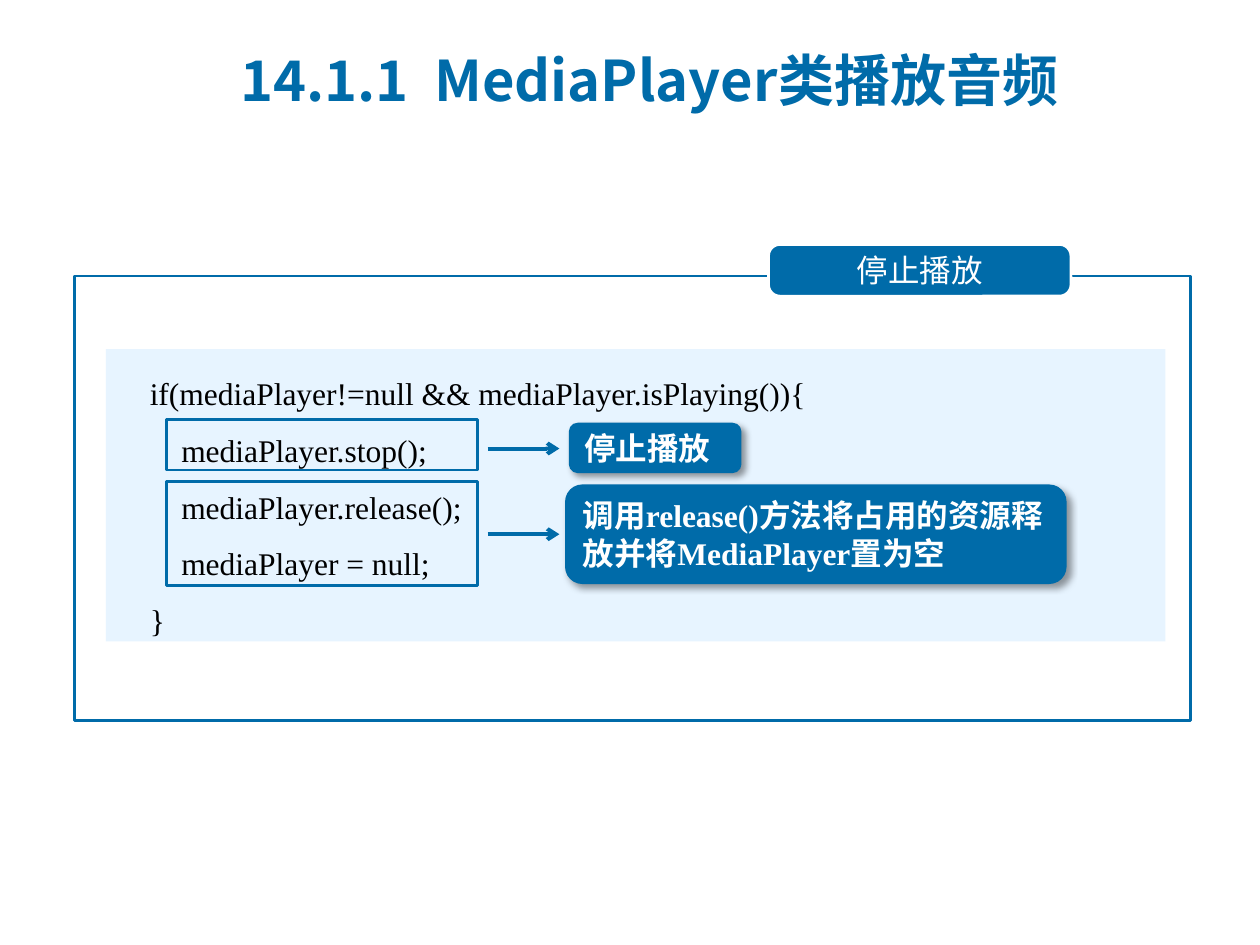
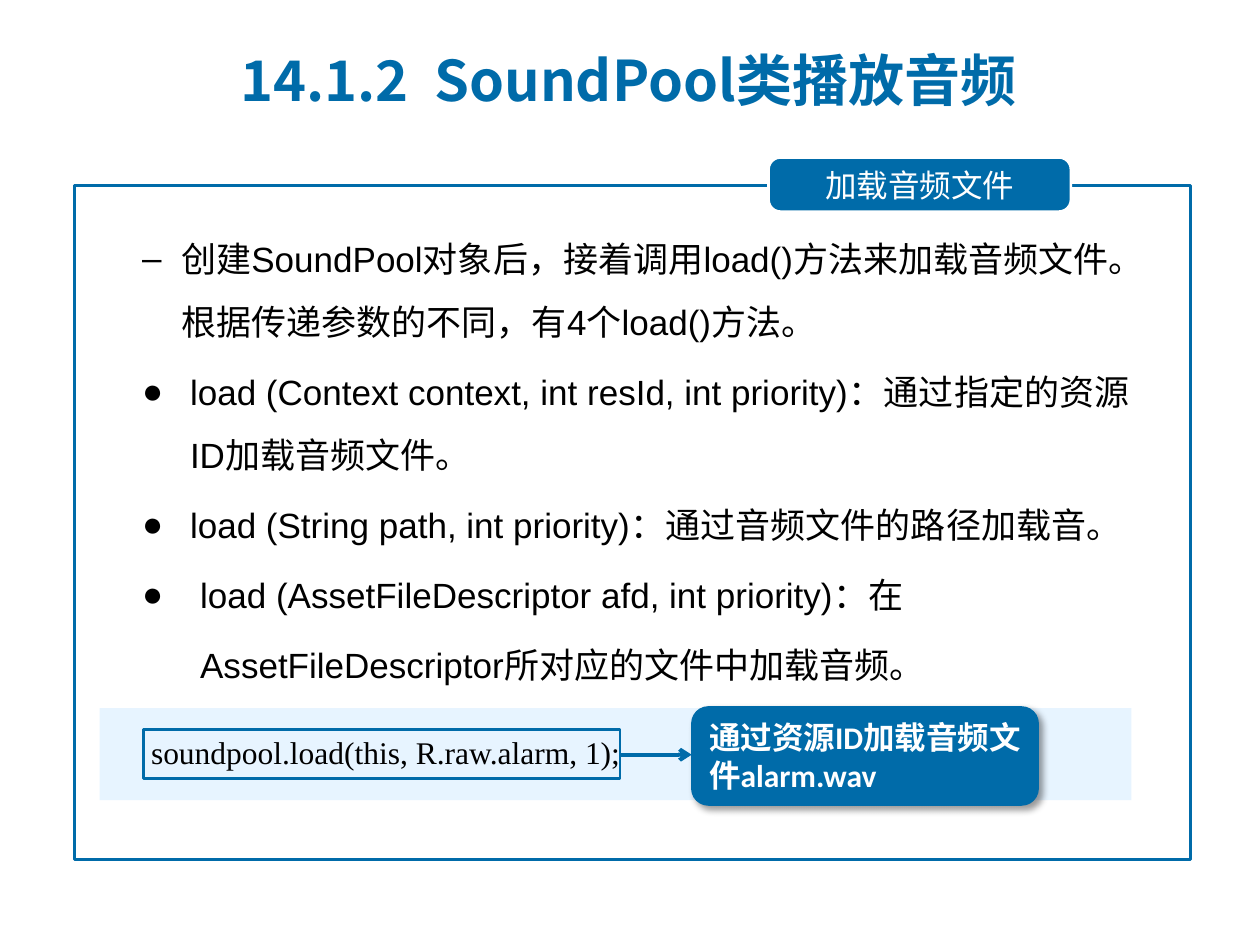
from lxml import etree
from pptx import Presentation
from pptx import util as u
from pptx.dml import color
from pptx.enum import shapes, text
from pptx.oxml import ns

IN = u.Inches
HUES = {"blue": "006BA9", "pale": "E7F4FF", "white": "FFFFFF", "black": "000000"}
HAN = "Noto Sans CJK SC"
CODE = "Times New Roman"
BODY = "Arial"


def rgb(name):
    """Return the named colour."""
    return color.RGBColor.from_string(HUES[name])


def add(parent, tag, **attrs):
    """Append a drawing element and return it."""
    return etree.SubElement(parent, ns.qn("a:" + tag), attrs)


class Deck:
    """Hold the shared style and the current slide."""

    def __init__(self):
        """Start an empty deck."""
        self.prs = Presentation()
        self.prs.slide_width, self.prs.slide_height = IN(10), IN(7.5)

    def page(self, title):
        """Start a slide with its title."""
        self.slide = self.prs.slides.add_slide(self.prs.slide_layouts[6])
        box = self.slide.shapes.add_textbox(IN(1.81), IN(0.21), IN(7.64), IN(0.84))
        self.label(box, [(title, 0)], HAN, 32, "blue", bold=True)

    def label(self, shape, paras, font, size, hue, bold=False, mid=True,
              center=False, gap=1.0, before=0):
        """Fill a shape with (text, margin, hang, bullet) paragraphs."""
        frame = shape.text_frame
        frame.word_wrap = True
        frame.vertical_anchor = text.MSO_ANCHOR.MIDDLE if mid else text.MSO_ANCHOR.TOP
        for i, (words, left, *mark) in enumerate(paras):
            para = frame.add_paragraph() if i else frame.paragraphs[0]
            para.alignment = text.PP_ALIGN.CENTER if center else text.PP_ALIGN.LEFT
            para.line_spacing = gap
            para.space_before = u.Pt(before)
            props = para._p.get_or_add_pPr()
            props.set("marL", str(IN(left)))
            if mark:
                hang, sign = mark
                props.set("indent", str(-IN(hang)))
                add(props, "buFont", typeface=BODY)
                add(props, "buChar", char=sign)
            run = para.add_run()
            run.text = words
            run.font.name, run.font.size, run.font.bold = font, u.Pt(size), bold
            run.font.color.rgb = rgb(hue)
            add(run._r.get_or_add_rPr(), "ea", typeface=HAN)

    def block(self, x, y, w, h, fill=None, line=None, width=1.5, bend=None):
        """Draw a plain or rounded box."""
        kind = shapes.MSO_SHAPE.RECTANGLE if bend is None else shapes.MSO_SHAPE.ROUNDED_RECTANGLE
        box = self.slide.shapes.add_shape(kind, IN(x), IN(y), IN(w), IN(h))
        box.shadow.inherit = False
        if bend is not None:
            box.adjustments[0] = bend
        if fill:
            box.fill.solid()
            box.fill.fore_color.rgb = rgb(fill)
        else:
            box.fill.background()
        if line:
            box.line.color.rgb = rgb(line)
            box.line.width = u.Pt(width)
        else:
            box.line.fill.background()
        return box

    def panel(self, y, h, words, top, high):
        """Draw the outlined panel and its tab."""
        self.block(0.59, y, 8.86, h, line="blue")
        tab = self.block(6.1, top, 2.4, high, "blue", "white", bend=0.22)
        frame = tab.text_frame
        frame.margin_left = frame.margin_right = IN(0.24)
        frame.margin_top = frame.margin_bottom = IN(0.06)
        self.label(tab, [(words, 0)], HAN, 18, "white", center=True)

    def code(self, x, y, w, h, lines):
        """Draw a code listing on a pale band."""
        box = self.block(x, y, w, h, "pale")
        self.label(box, lines, CODE, 18, "black", mid=False, gap=1.5)

    def note(self, x, y, w, h, words, font):
        """Draw a shadowed callout."""
        box = self.block(x, y, w, h, "blue", "blue", 0.75, bend=0.17)
        glow = box._element.spPr.find(ns.qn("a:effectLst"))
        shade = add(glow, "outerShdw", blurRad=str(u.Pt(4)), dist=str(u.Pt(3)),
                    dir="2700000", algn="tl", rotWithShape="0")
        add(add(shade, "srgbClr", val=HUES["black"]), "alpha", val="40000")
        self.label(box, [(words, 0)], font, 18, "white", bold=True)

    def arrow(self, x, y, end):
        """Draw a level arrow."""
        link = self.slide.shapes.add_connector(
            shapes.MSO_CONNECTOR.STRAIGHT, IN(x), IN(y), IN(end), IN(y))
        link.line.color.rgb = rgb("blue")
        link.line.width = u.Pt(2.25)
        props = link._element.spPr
        add(props.find(ns.qn("a:ln")), "tailEnd", type="arrow")
        add(props, "effectLst")

    def points(self, x, y, w, h, items):
        """Set the bulleted body text."""
        box = self.slide.shapes.add_textbox(IN(x), IN(y), IN(w), IN(h))
        self.label(box, items, BODY, 20, "black", mid=False, gap=1.5, before=4)


def stop(deck):
    """Build the slide on stopping playback."""
    deck.page("14.1.1  MediaPlayer类播放音频")
    deck.panel(2.19, 3.53, "停止播放", 1.94, 0.41)
    deck.code(0.84, 2.77, 8.41, 2.32, [
        ("if(mediaPlayer!=null && mediaPlayer.isPlaying()){", 0.25),
        ("mediaPlayer.stop();", 0.5),
        ("mediaPlayer.release();", 0.5),
        ("mediaPlayer = null;", 0.5),
        ("}", 0.25)])
    for y, h, mid in ((3.33, 0.4, 3.56), (3.82, 0.83, 4.24)):
        deck.block(1.32, y, 2.47, h, line="blue")
        deck.arrow(3.87, mid, 4.44)
    deck.note(4.52, 3.36, 1.36, 0.39, "停止播放", "Calibri")
    deck.note(4.49, 3.85, 3.97, 0.78,
              "调用release()方法将占用的资源释放并将MediaPlayer置为空", CODE)


def load(deck):
    """Build the slide on loading audio files."""
    deck.page("14.1.2  SoundPool类播放音频")
    deck.panel(1.47, 5.35, "加载音频文件", 1.25, 0.43)
    deck.points(0.53, 1.67, 8.72, 4, [
        ("创建SoundPool对象后，接着调用load()方法来加载音频文件。"
         "根据传递参数的不同，有4个load()方法。", 0.81, 0.31, "–"),
        ("load (Context context, int resId, int priority)："
         "通过指定的资源ID加载音频文件。", 0.88, 0.38, "●"),
        ("load (String path, int priority)：通过音频文件的路径加载音。", 0.88, 0.38, "●"),
        ("load (AssetFileDescriptor afd, int priority)：在", 0.96, 0.46, "●"),
        ("AssetFileDescriptor所对应的文件中加载音频。", 0.96)])
    deck.code(0.79, 5.62, 8.19, 0.73, [("soundpool.load(this, R.raw.alarm, 1);", 0.31)])
    deck.block(1.14, 5.79, 3.78, 0.39, line="blue")
    deck.note(5.49, 5.61, 2.75, 0.78, "通过资源ID加载音频文件alarm.wav", "Calibri")
    deck.arrow(4.92, 5.99, 5.49)


def main():
    """Build and save the deck."""
    deck = Deck()
    stop(deck)
    load(deck)
    deck.prs.save("out.pptx")


if __name__ == "__main__":
    main()
